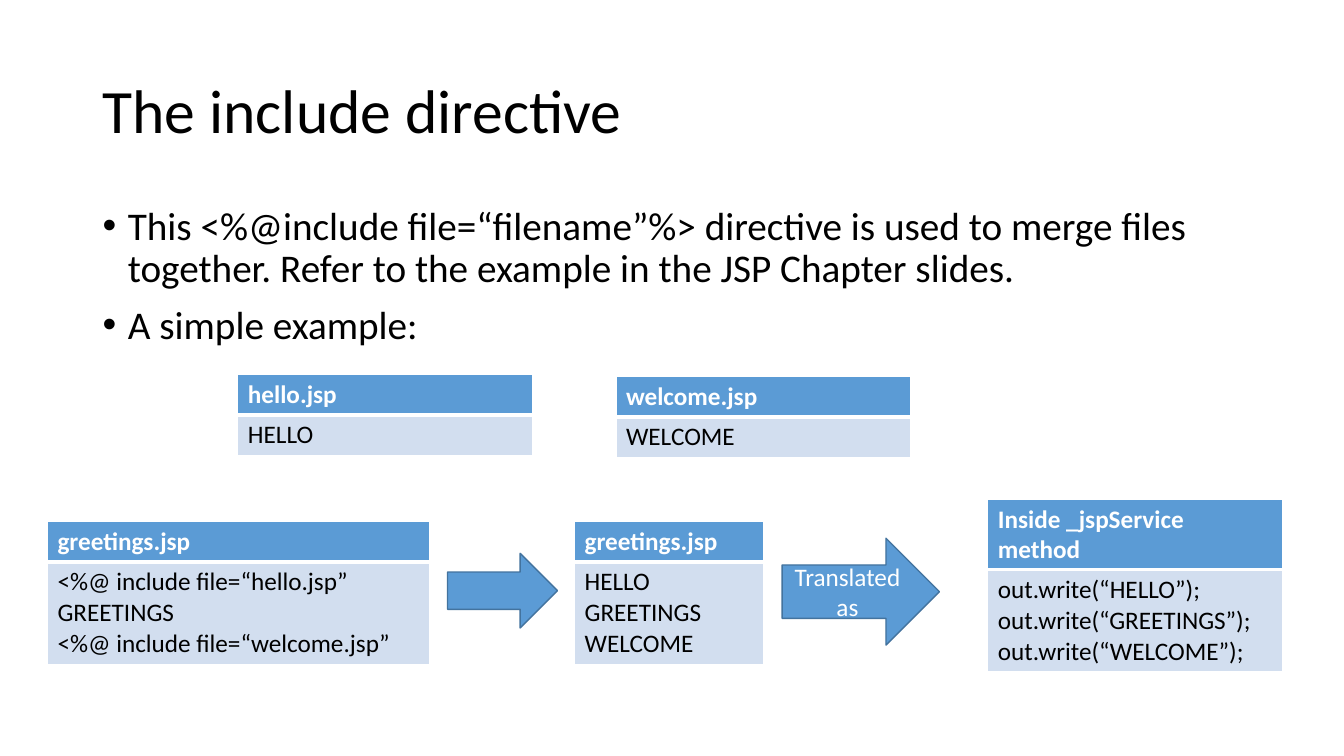
import pptx
import pptx.util
import pptx.dml.color
import pptx.enum.shapes
import pptx.enum.text
import pptx.oxml
import pptx.oxml.ns

BLACK = pptx.dml.color.RGBColor(0x00, 0x00, 0x00)
WHITE = pptx.dml.color.RGBColor(0xFF, 0xFF, 0xFF)
BLUE = pptx.dml.color.RGBColor(0x5B, 0x9B, 0xD5)
PALE_BLUE = pptx.dml.color.RGBColor(0xD2, 0xDE, 0xEF)
DARK_BLUE = pptx.dml.color.RGBColor(0x43, 0x73, 0x9E)

ANCHOR = pptx.enum.text.MSO_ANCHOR
CENTER = pptx.enum.text.PP_ALIGN.CENTER
RIGHT_ARROW = pptx.enum.shapes.MSO_SHAPE.RIGHT_ARROW
Pt = pptx.util.Pt


def apply(target, values):
    for name, value in values.items():
        setattr(target, name, value)


class Deck:
    GRID = 100
    FONT = "Calibri"
    LINE_ROWS = 4.07
    CELL_PADDING_ROWS = 1.33

    def __init__(self, width, height):
        self.presentation = pptx.Presentation()
        apply(self.presentation, {
            "slide_width": pptx.util.Inches(width),
            "slide_height": pptx.util.Inches(height),
        })
        self.column = self.presentation.slide_width / self.GRID
        self.row = self.presentation.slide_height / self.GRID
        self.slide = self.presentation.slides.add_slide(self.presentation.slide_layouts[6])

    def area(self, left, top, width, height):
        return (round(left * self.column), round(top * self.row),
                round(width * self.column), round(height * self.row))

    def set_lines(self, frame, lines, size, color, bold=False, paragraph_format=None):
        frame.text = "\n".join(lines)
        for paragraph in frame.paragraphs:
            apply(paragraph, paragraph_format or {})
            for run in paragraph.runs:
                apply(run.font, {"name": self.FONT, "size": Pt(size), "bold": bold})
                run.font.color.rgb = color

    def text(self, area, lines, size, anchor=ANCHOR.TOP, space_before=0):
        frame = self.slide.shapes.add_textbox(*self.area(*area)).text_frame
        apply(frame, {"word_wrap": True, "vertical_anchor": anchor})
        self.set_lines(frame, lines, size, BLACK, paragraph_format={
            "line_spacing": 0.9, "space_before": Pt(space_before)})
        return frame

    def bullets(self, area, points, size):
        indent = pptx.util.Inches(0.25)
        for paragraph in self.text(area, points, size, space_before=10).paragraphs:
            properties = paragraph._p.get_or_add_pPr()
            properties.set("marL", str(indent))
            properties.set("indent", str(-indent))
            namespace = pptx.oxml.ns.nsdecls("a")
            properties.append(pptx.oxml.parse_xml(f'<a:buFont {namespace} typeface="Arial"/>'))
            properties.append(pptx.oxml.parse_xml(f'<a:buChar {namespace} char="•"/>'))

    def border(self, cell, widths):
        for side, width in widths.items():
            cell._tc.get_or_add_tcPr().append(pptx.oxml.parse_xml(
                f'<a:ln{side} {pptx.oxml.ns.nsdecls("a")} w="{Pt(width)}">'
                f'<a:solidFill><a:srgbClr val="{WHITE}"/></a:solidFill></a:ln{side}>'))

    def code_table(self, left, top, width, heading, lines):
        parts = [
            ([heading], BLUE, WHITE, True, {"L": 1, "R": 1, "T": 1, "B": 3}),
            (lines, PALE_BLUE, BLACK, False, {"L": 1, "R": 1, "T": 3, "B": 1}),
        ]
        heights = [self.CELL_PADDING_ROWS + self.LINE_ROWS * len(part[0]) for part in parts]
        table = self.slide.shapes.add_table(
            len(parts), 1, *self.area(left, top, width, sum(heights))).table
        for index, (content, fill, color, bold, borders) in enumerate(parts):
            table.rows[index].height = round(heights[index] * self.row)
            cell = table.cell(index, 0)
            self.border(cell, borders)
            cell.fill.solid()
            cell.fill.fore_color.rgb = fill
            self.set_lines(cell.text_frame, content, 18, color, bold)

    def arrow(self, area, label=None):
        arrow = self.slide.shapes.add_shape(RIGHT_ARROW, *self.area(*area))
        arrow.shadow.inherit = False
        arrow.fill.solid()
        arrow.fill.fore_color.rgb = BLUE
        arrow.line.color.rgb = DARK_BLUE
        arrow.line.width = Pt(1)
        if label:
            apply(arrow.text_frame, {"word_wrap": True, "vertical_anchor": ANCHOR.MIDDLE})
            self.set_lines(arrow.text_frame, [label], 18, WHITE,
                           paragraph_format={"alignment": CENTER})

    def save(self):
        self.presentation.save("out.pptx")


deck = Deck(13.33, 7.5)
deck.text((6.9, 5.33, 86.25, 19.33), ["The include directive"], 44, ANCHOR.MIDDLE)
deck.bullets((6.9, 26.67, 86.25, 63.47), [
    "This <%@include file=“filename”%> directive is used to merge files together. "
    "Refer to the example in the JSP Chapter slides.",
    "A simple example:",
], 28)

words = ["HELLO", "GREETINGS", "WELCOME"]
includes = ["<%@ include file=“hello.jsp”", "GREETINGS", "<%@ include file=“welcome.jsp”"]
output_calls = [f"out.write(“{word}”);" for word in words]
for code_file in [
    (17.7, 49.47, 21.9, "hello.jsp", words[:1]),
    (45.83, 49.73, 21.9, "welcome.jsp", words[2:]),
    (3.53, 68.93, 28.43, "greetings.jsp", includes),
    (42.75, 68.93, 14.1, "greetings.jsp", words),
    (73.5, 66, 21.9, "Inside _jspService method", output_calls),
]:
    deck.code_table(*code_file)

deck.arrow((33.3, 73.2, 8.18, 9.87))
deck.arrow((58.2, 71.2, 11.7, 14.13), "Translated as")
deck.save()
